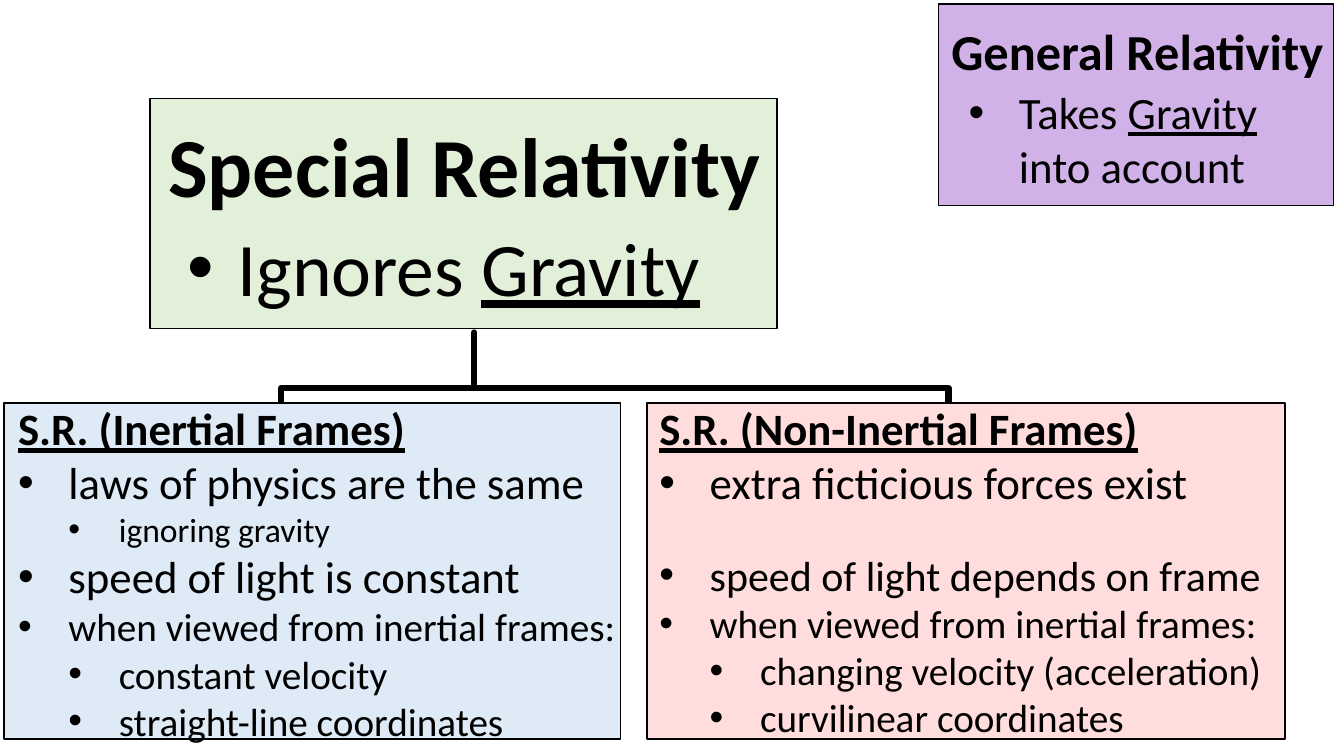
import pptx
import pptx.dml.color
import pptx.enum.shapes
import pptx.enum.text
import pptx.oxml.ns
import lxml.etree
from pptx.util import Cm, Pt

BLACK = "000000"
INDENT = Cm(1.27)
CENTER = pptx.enum.text.PP_ALIGN.CENTER
LEFT = pptx.enum.text.PP_ALIGN.LEFT
SHAPES = pptx.enum.shapes.MSO_SHAPE


def color(value):
    return pptx.dml.color.RGBColor.from_string(value)


def place(shape, box):
    shape.left, shape.top, shape.width, shape.height = (Cm(length) for length in box)


def add_outline(slide, kind, box, line_width, fill=None):
    shape = slide.shapes.add_shape(kind, *(Cm(length) for length in box))
    shape.shadow.inherit = False
    if fill:
        shape.fill.solid()
        shape.fill.fore_color.rgb = color(fill)
    else:
        shape.fill.background()
    shape.line.color.rgb = color(BLACK)
    shape.line.width = Pt(line_width)
    return shape


def set_bullet(paragraph, depth):
    properties = paragraph._p.get_or_add_pPr()
    properties.set("marL", str(INDENT * depth))
    properties.set("indent", str(-INDENT if depth else 0))
    qualified = pptx.oxml.ns.qn
    if depth:
        lxml.etree.SubElement(properties, qualified("a:buFont")).set("typeface", "Arial")
        lxml.etree.SubElement(properties, qualified("a:buChar")).set("char", "•")
    else:
        lxml.etree.SubElement(properties, qualified("a:buNone"))


def write_paragraph(paragraph, text, size, depth=0, before=0, bold=False,
                    underline=False, alignment=LEFT):
    """Write one paragraph, underlining the parts enclosed in underscores."""
    paragraph.level = max(depth - 1, 0)
    set_bullet(paragraph, depth)
    paragraph.alignment = alignment
    paragraph.line_spacing = 1.0
    paragraph.space_before = Pt(before)
    paragraph.font.name = "Calibri"
    paragraph.font.size = Pt(size)
    paragraph.font.bold = bold
    paragraph.font.color.rgb = color(BLACK)
    if underline:
        paragraph.font.underline = True
    for index, part in enumerate(text.split("_")):
        if part:
            run = paragraph.add_run()
            run.text = part
            if index % 2:
                run.font.underline = True


def prepare_frame(shape, wrap=True):
    frame = shape.text_frame
    frame.word_wrap = wrap
    frame.auto_size = pptx.enum.text.MSO_AUTO_SIZE.NONE
    frame.vertical_anchor = pptx.enum.text.MSO_ANCHOR.TOP
    return frame


def add_label(slide, box, text, size, wrap=True, **style):
    shape = slide.shapes.add_textbox(*(Cm(length) for length in box))
    write_paragraph(prepare_frame(shape, wrap).paragraphs[0], text, size, **style)


def fill_title(slide, box, text, size):
    title = slide.shapes.title
    place(title, box)
    write_paragraph(prepare_frame(title).paragraphs[0], text, size,
                    bold=True, alignment=CENTER)
    slide.shapes._spTree.append(title._element)


def fill_list(slide, placeholder, box, heading, items, wrap=True):
    place(placeholder, box)
    frame = prepare_frame(placeholder, wrap)
    write_paragraph(frame.paragraphs[0], heading, 32, bold=True, underline=True)
    for item in items:
        write_paragraph(frame.add_paragraph(), *item)
    slide.shapes._spTree.append(placeholder._element)


def main():
    presentation = pptx.Presentation()
    presentation.slide_width = Cm(33.87)
    presentation.slide_height = Cm(19.05)
    slide = presentation.slides.add_slide(presentation.slide_layouts[3])
    inertial, non_inertial = list(slide.placeholders)[1:3]

    add_outline(slide, SHAPES.RECTANGLE, (23.65, 0.1, 9.96, 5.08), 1, "D1B2E8")
    add_label(slide, (23.47, 0.38, 10.39, 1.8), "General Relativity", 36,
              bold=True, alignment=CENTER)
    add_label(slide, (24.16, 2.01, 8.36, 3), "Takes _Gravity_ into account", 32, depth=1)

    brace = add_outline(slide, SHAPES.LEFT_BRACE, (14.1, 1.37, 2.79, 16.81), 4.5)
    brace.rotation = 90
    brace.adjustments[0] = 0
    brace.adjustments[1] = 0.711

    add_outline(slide, SHAPES.RECTANGLE, (0.1, 10.16, 15.54, 8.46), 1, "DEEBF7")
    add_outline(slide, SHAPES.RECTANGLE, (16.31, 10.16, 16.08, 8.46), 1, "FFDDDD")
    fill_list(slide, inertial, (0.2, 9.98, 15.77, 9.14), "S.R. (Inertial Frames)", [
        ("laws of physics are the same", 32, 1),
        ("ignoring gravity", 24, 2),
        ("speed of light is constant", 32, 1),
        ("when viewed from inertial frames:", 28, 1),
        ("constant velocity", 28, 2),
        ("straight-line coordinates", 28, 2),
    ])
    fill_list(slide, non_inertial, (16.36, 9.98, 15.85, 8.89), "S.R. (Non-Inertial Frames)", [
        ("extra ficticious forces exist", 32, 1),
        ("speed of light depends on frame", 30, 1, 29),
        ("when viewed from inertial frames:", 28, 1),
        ("changing velocity (acceleration)", 28, 2),
        ("curvilinear coordinates", 28, 2),
    ], wrap=False)

    add_outline(slide, SHAPES.RECTANGLE, (3.78, 2.49, 15.8, 5.79), 1, "E2F0D9")
    fill_title(slide, (3.89, 2.74, 15.62, 2.82), "Special Relativity", 60)
    add_label(slide, (4.47, 5.44, 13.56, 2.57), "Ignores _Gravity_", 54, wrap=False, depth=1)

    presentation.save("out.pptx")


if __name__ == "__main__":
    main()
